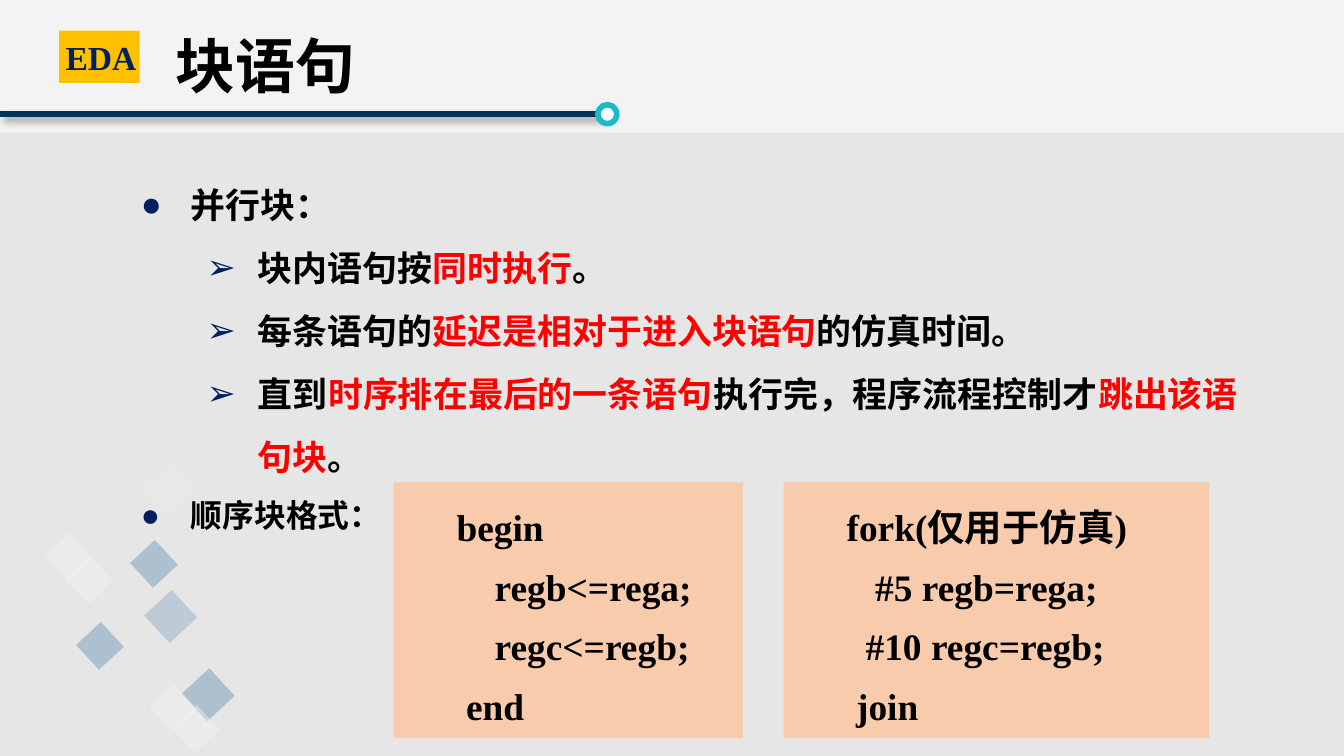
from typing import NamedTuple

from lxml import etree
from pptx import Presentation
from pptx.dml.color import RGBColor
from pptx.enum.shapes import MSO_CONNECTOR, MSO_SHAPE
from pptx.enum.text import MSO_ANCHOR, MSO_AUTO_SIZE, PP_ALIGN
from pptx.oxml import parse_xml
from pptx.oxml.ns import qn
from pptx.util import Cm, Pt

RECT, OVAL = MSO_SHAPE.RECTANGLE, MSO_SHAPE.OVAL
STRAIGHT = MSO_CONNECTOR.STRAIGHT
TOP, MIDDLE = MSO_ANCHOR.TOP, MSO_ANCHOR.MIDDLE
FIXED, GROW = MSO_AUTO_SIZE.NONE, MSO_AUTO_SIZE.SHAPE_TO_FIT_TEXT
LEFT, JUSTIFY = PP_ALIGN.LEFT, PP_ALIGN.JUSTIFY

NS = 'xmlns:a="http://schemas.openxmlformats.org/drawingml/2006/main"'
FONT = "Times New Roman"
BLACK, RED, NAVY, WHITE = "000000", "FF0000", "002060", "FFFFFF"
BLUE, PALE = "3773A4", "F2F2F2"
SLIDE_W, SLIDE_H = 25.4, 14.29
BAND_TOP, RULE_Y, RULE_END = 2.51, 2.16, 11.4
SPACE = 0.18  # width of one code column, cm


class Box(NamedTuple):
    left: float
    top: float
    width: float
    height: float


class Diamond(NamedTuple):
    left: float
    top: float
    size: float
    color: str
    opacity: int


class Bullet(NamedTuple):
    level: int
    size: float
    pieces: list  # black and red wording in turn


class Code(NamedTuple):
    box: Box
    lines: list  # (columns of indent, wording)


DIAMONDS = [
    Diamond(1.57, 11.89, 0.64, BLUE, 33),
    Diamond(0.97, 10.21, 0.64, PALE, 46),
    Diamond(3.58, 12.78, 0.71, BLUE, 33),
    Diamond(2.87, 11.3, 0.71, BLUE, 23),
    Diamond(2.59, 10.34, 0.64, BLUE, 33),
    Diamond(2.95, 13.06, 0.64, PALE, 46),
    Diamond(2.87, 8.89, 0.71, PALE, 23),
    Diamond(1.37, 10.64, 0.64, PALE, 46),
    Diamond(3.38, 13.46, 0.64, PALE, 46),
]
BULLETS = [
    Bullet(0, 18.7, ["并行块："]),
    Bullet(1, 18.7, ["块内语句按", "同时执行", "。"]),
    Bullet(1, 18.7, ["每条语句的", "延迟是相对于进入块语句", "的仿真时间。"]),
    Bullet(1, 18.7, ["直到", "时序排在最后的一条语句", "执行完，程序流程控制才",
                     "跳出该语句块", "。"]),
    Bullet(0, 17, ["顺序块格式："]),
]
# Per level: sign, left margin and first-line indent
MARKS = [("●", 1.6, -0.94), ("➢", 2.87, -0.97)]
CODES = [
    Code(Box(7.44, 9.12, 6.6, 4.83),
         [(0, "begin"), (4, "regb<=rega;"), (4, "regc<=regb;"), (1, "end")]),
    Code(Box(14.81, 9.12, 8.05, 4.83),
         [(0, "fork(仅用于仿真)"), (3, "#5 regb=rega;"),
          (2, "#10 regc=regb;"), (1, "join")]),
]


def rgb(color: str) -> RGBColor:
    return RGBColor.from_string(color)


def apply(target, **values) -> None:
    for name, value in values.items():
        setattr(target, name, value)


def place(shape, box: Box) -> None:
    apply(shape, **{side: Cm(length) for side, length in box._asdict().items()})


def add_shape(slide, kind, box: Box, color: str, opacity: int = 100):
    shape = slide.shapes.add_shape(kind, *map(Cm, box))
    shape.shadow.inherit = False
    shape.fill.solid()
    shape.fill.fore_color.rgb = rgb(color)
    shape.line.fill.background()
    if opacity < 100:
        tint = shape.fill._xPr.find(".//" + qn("a:srgbClr"))
        etree.SubElement(tint, qn("a:alpha"), val=str(opacity * 1000))
    return shape


def add_run(paragraph, wording: str, size: float, color: str = BLACK):
    run = paragraph.add_run()
    run.text = wording
    apply(run.font, name=FONT, size=Pt(size), bold=True)
    run.font.color.rgb = rgb(color)
    return run


def paragraphs(frame, count: int) -> list:
    return [frame.paragraphs[0]] + [frame.add_paragraph() for _ in range(count - 1)]


def add_rule(slide) -> None:
    rule = slide.shapes.add_connector(
        STRAIGHT, 0, Cm(RULE_Y), Cm(RULE_END), Cm(RULE_Y))
    rule.line.color.rgb = rgb("003456")
    rule.line.width = Pt(3)
    rule._element.spPr.append(parse_xml(
        f'<a:effectLst {NS}><a:outerShdw blurRad="50800" dist="38100" dir="2700000">'
        '<a:srgbClr val="000000"><a:alpha val="40000"/></a:srgbClr>'
        '</a:outerShdw></a:effectLst>'))


def add_badge(slide) -> None:
    add_shape(slide, RECT, Box(1.12, 0.58, 1.52, 0.99), "FFC000")
    label = slide.shapes.add_textbox(*map(Cm, Box(0.99, 0.53, 2.24, 1.19)))
    apply(label.text_frame, word_wrap=True, vertical_anchor=MIDDLE)
    paragraph = label.text_frame.paragraphs[0]
    paragraph.line_spacing = 0.9
    run = add_run(paragraph, "EDA", 18, NAVY)
    run.font._element.insert(0, parse_xml(
        f'<a:ln {NS} w="9525"><a:solidFill><a:srgbClr val="{WHITE}"/>'
        '</a:solidFill></a:ln>'))


def fill_title(title) -> None:
    place(title, Box(3.07, -0.08, 21.9, 2.77))
    apply(title.text_frame, word_wrap=True, auto_size=FIXED, vertical_anchor=MIDDLE)
    paragraph = title.text_frame.paragraphs[0]
    apply(paragraph, alignment=LEFT, line_spacing=0.9)
    add_run(paragraph, "块语句", 32)


def fill_body(body) -> None:
    place(body, Box(1.75, 2.95, 21.9, 7.47))
    frame = body.text_frame
    apply(frame, word_wrap=True, auto_size=FIXED, vertical_anchor=TOP)
    for paragraph, bullet in zip(paragraphs(frame, len(BULLETS)), BULLETS):
        apply(paragraph, level=bullet.level, alignment=JUSTIFY,
              line_spacing=1.5, space_before=Pt(0))
        sign, margin, indent = MARKS[bullet.level]
        props = paragraph._p.get_or_add_pPr()
        props.set("marL", str(Cm(margin)))
        props.set("indent", str(Cm(indent)))
        props.append(parse_xml(
            f'<a:buClr {NS}><a:srgbClr val="{NAVY}"/></a:buClr>'))
        props.append(parse_xml(f'<a:buChar {NS} char="{sign}"/>'))
        for order, piece in enumerate(bullet.pieces):
            add_run(paragraph, piece, bullet.size, RED if order % 2 else BLACK)


def add_code(slide, code: Code) -> None:
    panel = add_shape(slide, RECT, code.box, "F8CBAD")
    frame = panel.text_frame
    apply(frame, word_wrap=True, auto_size=GROW, vertical_anchor=TOP)
    for paragraph, (columns, wording) in zip(
            paragraphs(frame, len(code.lines)), code.lines):
        apply(paragraph, alignment=JUSTIFY, line_spacing=Pt(32))
        paragraph._p.get_or_add_pPr().set("marL", str(Cm(0.94 + columns * SPACE)))
        add_run(paragraph, wording, 20)


def main() -> None:
    deck = Presentation()
    apply(deck, slide_width=Cm(SLIDE_W), slide_height=Cm(SLIDE_H))
    slide = deck.slides.add_slide(deck.slide_layouts[1])
    title, body = slide.placeholders

    # Background bands and header rule
    add_shape(slide, RECT, Box(0, 0, SLIDE_W, SLIDE_H), "E6E6E6", 47)
    add_shape(slide, RECT, Box(0, BAND_TOP, SLIDE_W, SLIDE_H - BAND_TOP), "D9D9D9", 47)
    add_rule(slide)

    # Scattered diamonds, ring at the end of the rule, badge
    for left, top, size, color, opacity in DIAMONDS:
        add_shape(slide, RECT, Box(left, top, size, size), color, opacity).rotation = 47.2
    ring = add_shape(slide, OVAL, Box(11.3, 1.98, 0.36, 0.36), WHITE)
    ring.line.color.rgb = rgb("1ABAC8")
    ring.line.width = Pt(3)
    add_badge(slide)

    # Text goes in front of the decoration
    fill_body(body)
    fill_title(title)
    for holder in (body, title):
        slide.shapes._spTree.append(holder._element)
    for code in CODES:
        add_code(slide, code)

    deck.save("out.pptx")


if __name__ == "__main__":
    main()
